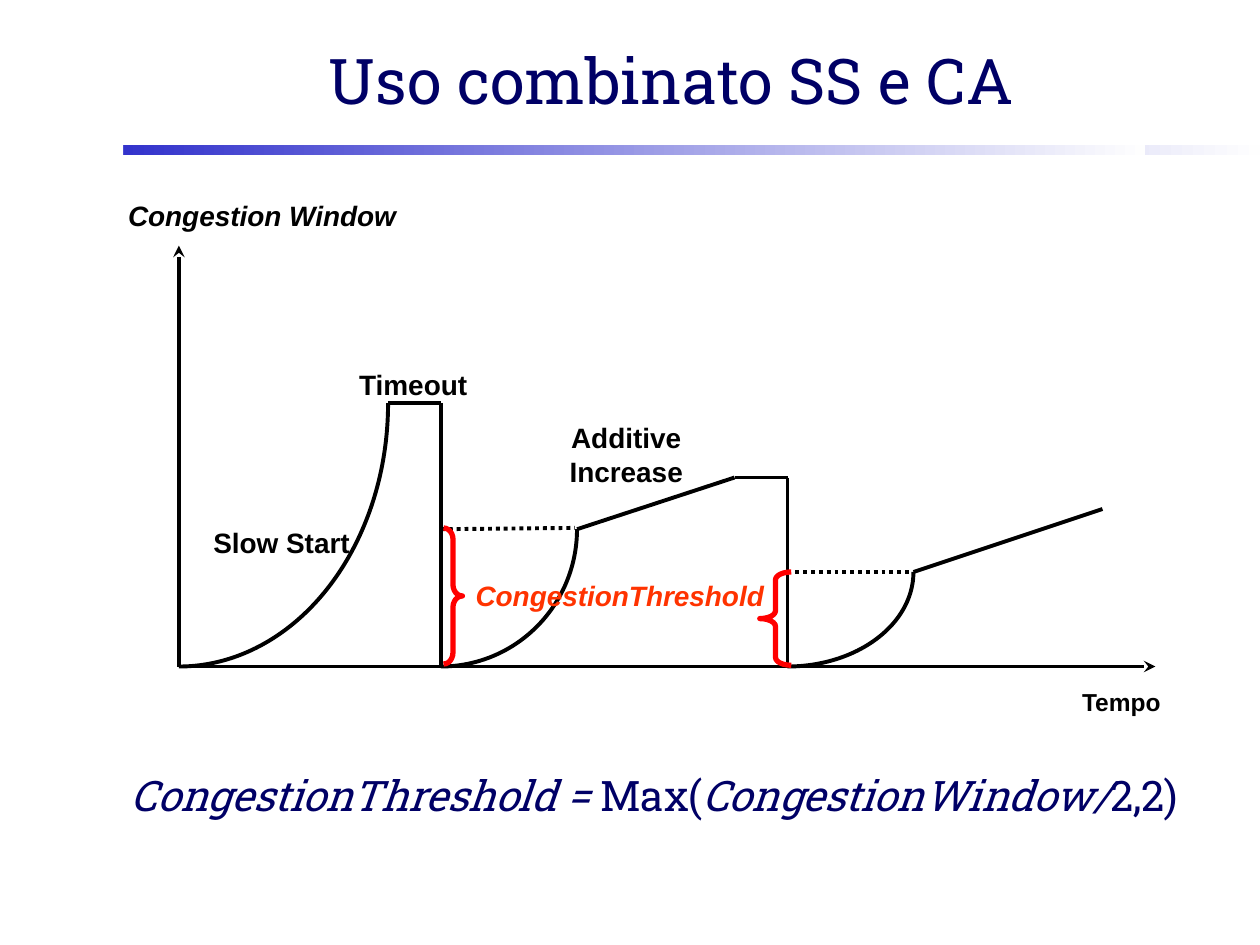
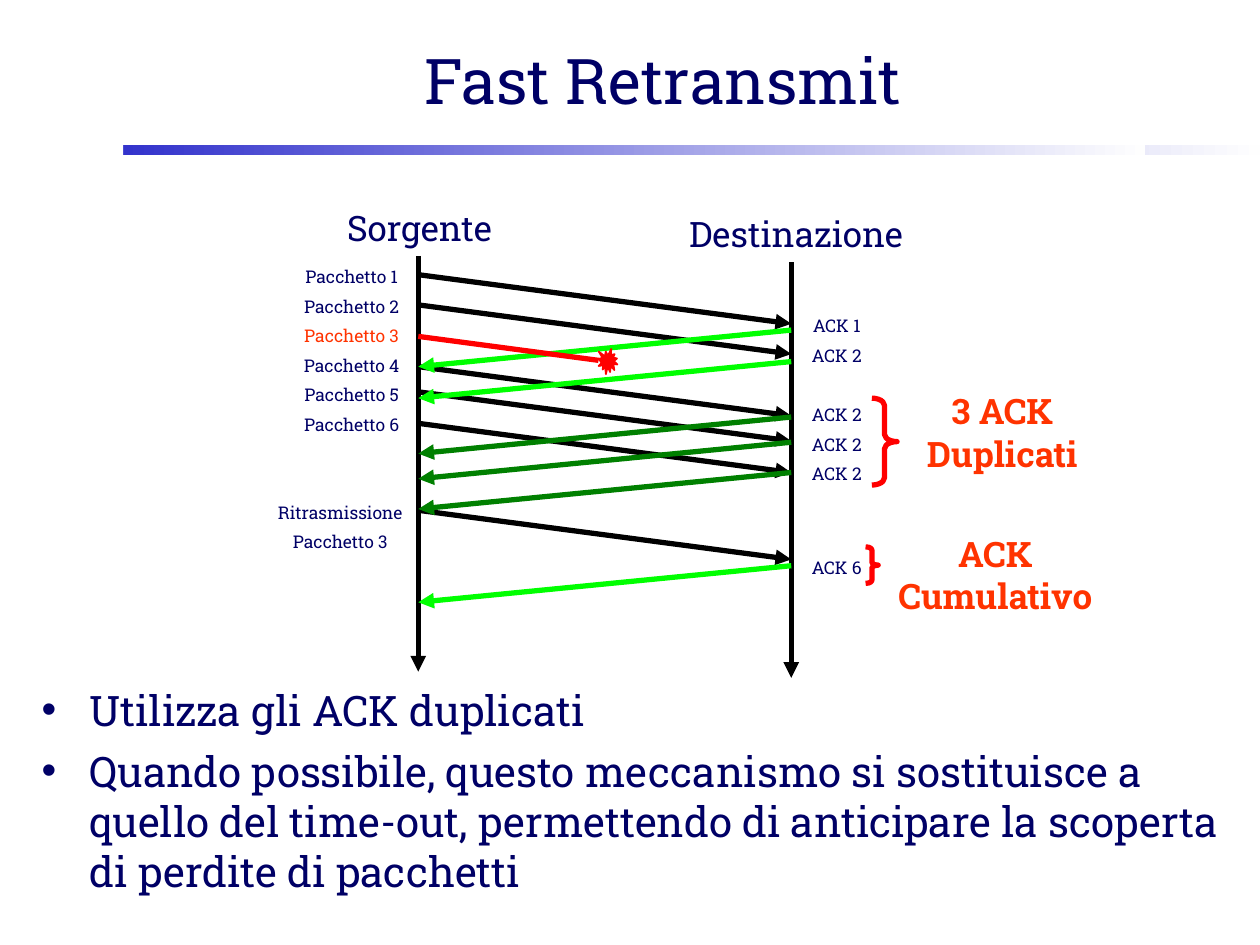
from pptx import Presentation, util as u
from pptx.dml.color import RGBColor
from pptx.enum import dml, shapes, text
from pptx.oxml import parse_xml
from pptx.oxml.ns import nsdecls, qn

NAVY, RED, ORANGE, BLACK = "000066", "FF0000", "FF3300", "000000"
LIME, GREEN = "00FF00", "008000"
SLAB, SANS = "Roboto Slab", "Arial"
rgb = RGBColor.from_string
Inches, Pt = u.Inches, u.Pt


def label(slide, box, lines, size, font=SLAB, color=NAVY, bold=False,
          italic=False, spacing=None, before=0):
    """Centred text; each line is a list of (text, overrides) runs or a string."""
    frame = slide.shapes.add_textbox(*map(Inches, box)).text_frame
    frame.word_wrap = False
    for i, line in enumerate(lines):
        par = frame.paragraphs[0] if i == 0 else frame.add_paragraph()
        par.alignment = text.PP_ALIGN.CENTER
        par.line_spacing = spacing
        par.space_before = Pt(before if i else 0)
        for words, own in [(line, {})] if isinstance(line, str) else line:
            run = par.add_run()
            run.text = words
            run.font.name, run.font.size = font, Pt(size)
            run.font.bold = bold
            run.font.italic = own.get("italic", italic)
            run.font.color.rgb = rgb(own.get("color", color))
    return frame


def draw_line(slide, ends, color=BLACK, width=2.25, arrow=None, dash=None):
    line = slide.shapes.add_connector(shapes.MSO_CONNECTOR.STRAIGHT, *map(Inches, ends))
    line.line.color.rgb = rgb(color)
    line.line.width = Pt(width)
    if dash:
        line.line.dash_style = dash
    properties = line.element.spPr
    if arrow:
        properties.find(qn("a:ln")).append(
            parse_xml(f'<a:tailEnd {nsdecls("a")} type="{arrow}"/>'))
    properties.append(parse_xml(f'<a:effectLst {nsdecls("a")}/>'))


prs = Presentation()
prs.slide_width, prs.slide_height = Inches(10), Inches(7.5)
window = prs.slides.add_slide(prs.slide_layouts[5])
retransmit = prs.slides.add_slide(prs.slide_layouts[1])

# Gradient bands, moved to the master
master_tree = prs.slide_master.shapes.element
for position, band_width in enumerate((9.02, 8.11), start=2):
    band = window.shapes.add_shape(shapes.MSO_SHAPE.RECTANGLE, Inches(0.98), Inches(1.15),
                                   Inches(band_width), Inches(0.08))
    band.shadow.inherit = False
    band.line.fill.background()
    band.fill.gradient()
    band.fill.gradient_angle = 0
    for stop, color, place in zip(band.fill.gradient_stops, ("3333CC", "FEFEFE"), (0, 1)):
        stop.color.rgb = rgb(color)
        stop.position = place
    master_tree.insert(position, band.element)

# Titles
for slide, left, words in ((window, 1.08, "Uso combinato SS e CA"),
                           (retransmit, 1.01, "Fast Retransmit")):
    title = slide.shapes.title
    title.left, title.top = Inches(left), Inches(0.17)
    title.width, title.height = Inches(8.5), Inches(0.92)
    title.text_frame.vertical_anchor = text.MSO_ANCHOR.MIDDLE
    title.text_frame.auto_size = text.MSO_AUTO_SIZE.NONE
    heading = title.text_frame.paragraphs[0]
    heading.alignment = text.PP_ALIGN.CENTER
    run = heading.add_run()
    run.text = words
    run.font.name, run.font.size = SLAB, Pt(36)
    run.font.color.rgb = rgb(NAVY)
    run.font.fill  # solid fill comes before the shadow
    run.font._element.find(qn("a:solidFill")).addnext(parse_xml(
        f'<a:effectLst {nsdecls("a")}><a:outerShdw dist="35921" dir="2700000">'
        '<a:srgbClr val="808080"/></a:outerShdw></a:effectLst>'))

# Slide 1: axes
base = 5.29
draw_line(window, (1.42, base, 1.42, 1.95), arrow="stealth")
draw_line(window, (1.42, base, 9.17, base), arrow="stealth")

# Slide 1: plateaus, timeouts and additive increase
for ends in ((3.08, 3.2, 3.5, 3.2), (3.5, 3.2, 3.5, base),
             (4.58, 4.2, 5.83, 3.79), (5.83, 3.79, 6.25, 3.79), (6.25, 3.79, 6.25, base),
             (7.25, 4.54, 8.75, 4.04)):
    draw_line(window, ends)
for threshold in ((3.5, 4.2, 4.56, 4.19), (6.25, 4.54, 7.22, 4.54)):
    draw_line(window, threshold, dash=dml.MSO_LINE.ROUND_DOT)

# Slide 1: slow start curves, quarter ellipses around (x, y)
curves = []
for x, y, radius in ((1.42, 3.2, 1.66), (3.5, 4.2, 1.08), (6.25, 4.54, 1)):
    box = (x - radius, 2 * y - base, 2 * radius, 2 * (base - y))
    curves.append((window, shapes.MSO_SHAPE.ARC, box, BLACK, 2.25, (0, 54)))

# Braces on both slides
right, left = shapes.MSO_SHAPE.RIGHT_BRACE, shapes.MSO_SHAPE.LEFT_BRACE
for slide, brace, box in ((window, right, (3.52, 4.19, 0.15, 1.08)),
                          (window, left, (6.03, 4.54, 0.25, 0.74)),
                          (retransmit, right, (6.92, 3.16, 0.2, 0.69)),
                          (retransmit, right, (6.87, 4.34, 0.1, 0.29))):
    bend = box[3] / 12 / box[2]
    curves.append((slide, brace, box, RED, 3, (bend, 0.5)))

for slide, kind, box, color, width, adjustments in curves:
    curve = slide.shapes.add_shape(kind, *map(Inches, box))
    curve.shadow.inherit = False
    curve.fill.background()
    curve.line.color.rgb = rgb(color)
    curve.line.width = Pt(width)
    for i, value in enumerate(adjustments):
        curve.adjustments[i] = value

# Slide 1: labels and formula
for box, lines, size in (((8.48, 5.4, 0.84, 0.33), ["Tempo"], 14),
                         ((2.75, 2.87, 1.06, 0.37), ["Timeout"], 16),
                         ((1.59, 4.12, 1.29, 0.37), ["Slow Start"], 16),
                         ((4.42, 3.29, 1.1, 0.63), ["Additive", "Increase"], 16)):
    label(window, box, lines, size, SANS, BLACK, bold=True)
label(window, (0.54, 1.53, 3.08, 0.37), ["Congestion Window"], 16, SANS, BLACK, True, True)
label(window, (3.3, 4.54, 3.24, 0.37), ["CongestionThreshold"], 16, SANS, ORANGE, True, True)
upright = {"italic": False}
label(window, (0.5, 6.06, 9.39, 0.5),
      [[("CongestionThreshold = ", {}), ("Max(", upright),
        ("CongestionWindow/", {}), ("2,2)", upright)]], 24, italic=True)

# Slide 2: timelines
source, target = 3.32, 6.28
for x, top in ((source, 2.03), (target, 2.08)):
    draw_line(retransmit, (x, top, x, top + 3.3), width=3, arrow="triangle")

# Slide 2: packets and their acknowledgements
for y in (2.18, 2.42, 2.91, 3.11, 3.36, 4.05):
    draw_line(retransmit, (source, y, target, y + 0.39), width=3, arrow="triangle")
for y, color in ((2.62, LIME), (2.87, LIME), (3.31, GREEN), (3.51, GREEN),
                 (3.75, GREEN), (4.49, LIME)):
    draw_line(retransmit, (target, y, source, y + 0.29), color, 3, "triangle")

# Slide 2: lost packet
draw_line(retransmit, (source, 2.67, 4.75, 2.86), RED, 3)
loss = retransmit.shapes.add_shape(shapes.MSO_SHAPE.EXPLOSION1, Inches(4.75), Inches(2.77),
                                   Inches(0.15), Inches(0.2))
loss.shadow.inherit = False
loss.fill.solid()
loss.fill.fore_color.rgb = loss.line.color.rgb = rgb(RED)
loss.line.width = Pt(1)

# Slide 2: labels
label(retransmit, (2.26, 1.59, 2.14, 0.44), ["Sorgente"], 20)
label(retransmit, (4.97, 1.64, 2.7, 0.44), ["Destinazione"], 20)
packets = [[(f"Pacchetto {n}", {"color": ORANGE if n == 3 else NAVY})] for n in range(1, 7)]
small = {"size": 10, "spacing": 1.2, "before": 2.5}
label(retransmit, (2.3, 2.03, 0.98, 1.48), packets, **small)
label(retransmit, (2.1, 3.9, 1.2, 0.54), ["Ritrasmissione", "Pacchetto 3"], **small)
acks = label(retransmit, (6.33, 2.42, 0.62, 1.48), ["ACK 1"] + ["ACK 2"] * 4, **small)
acks.paragraphs[2].space_before = Pt(19.5)
label(retransmit, (6.33, 4.34, 0.62, 0.3), ["ACK 6"], **small)
for box, lines in (((6.82, 3.11, 2.27, 0.71), ["3 ACK", "Duplicati"]),
                   ((6.59, 4.24, 2.62, 0.71), ["ACK", "Cumulativo"])):
    label(retransmit, box, lines, 20, color=ORANGE, bold=True, spacing=0.8, before=5)

# Slide 2: list
body = retransmit.placeholders[1]
body.left, body.top, body.width, body.height = map(Inches, (0.23, 5.38, 9.77, 1.79))
body.text_frame.auto_size = text.MSO_AUTO_SIZE.NONE
points = ("Utilizza gli ACK duplicati",
          "Quando possibile, questo meccanismo si sostituisce a quello del time-out, "
          "permettendo di anticipare la scoperta di perdite di pacchetti")
for i, point in enumerate(points):
    par = body.text_frame.paragraphs[0] if i == 0 else body.text_frame.add_paragraph()
    par.space_before = Pt(6 if i else 0)
    properties = par._p.get_or_add_pPr()
    properties.set("marL", str(Inches(0.38)))
    properties.set("indent", str(-Inches(0.38)))
    properties.append(parse_xml(
        f'<a:buClr {nsdecls("a")}><a:srgbClr val="{NAVY}"/></a:buClr>'))
    properties.append(parse_xml(f'<a:buFont {nsdecls("a")} typeface="{SANS}"/>'))
    properties.append(parse_xml(f'<a:buChar {nsdecls("a")} char="•"/>'))
    run = par.add_run()
    run.text = point
    run.font.name, run.font.size = SLAB, Pt(24)
    run.font.color.rgb = rgb(NAVY)

prs.save("out.pptx")
